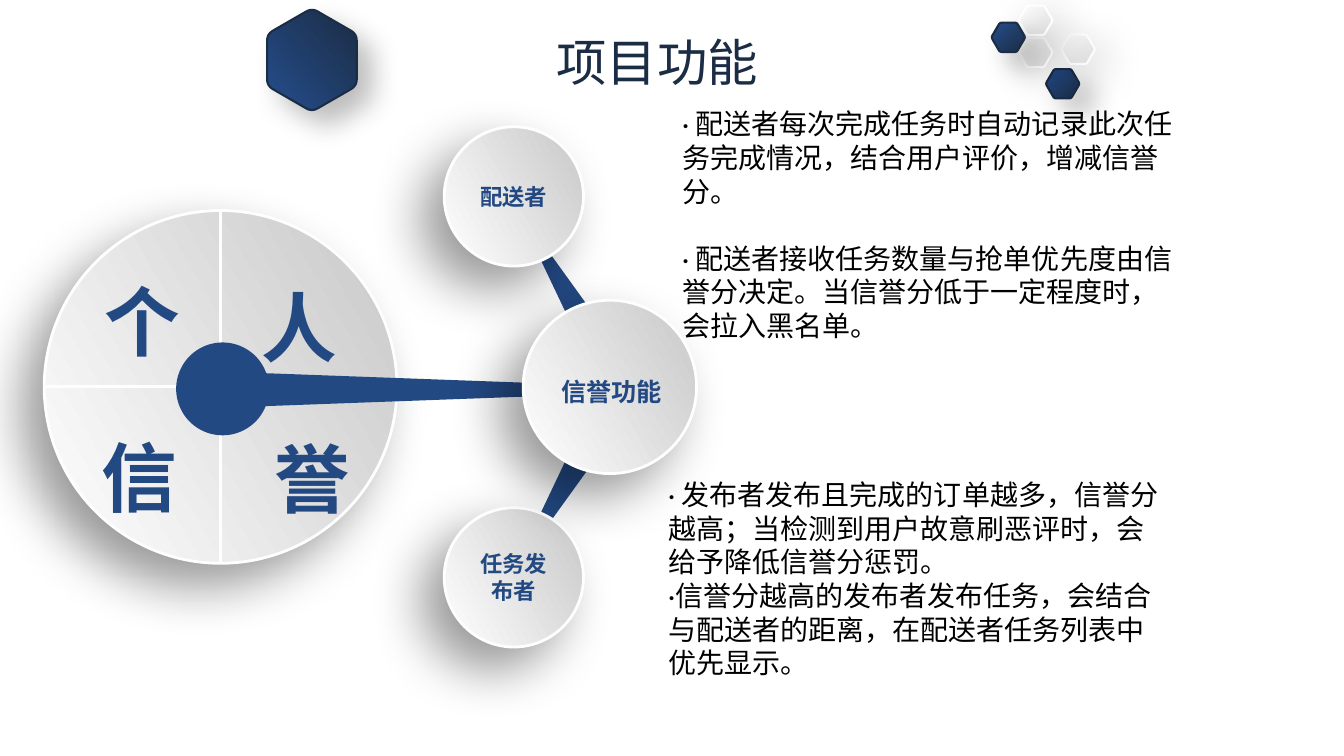
import math

import lxml.etree
import pptx
import pptx.dml.color
import pptx.enum.shapes
import pptx.enum.text
import pptx.oxml.ns
import pptx.util

Cm = pptx.util.Cm
Pt = pptx.util.Pt
RGBColor = pptx.dml.color.RGBColor
SHAPE = pptx.enum.shapes.MSO_SHAPE
ALIGN = pptx.enum.text.PP_ALIGN
qn = pptx.oxml.ns.qn

BLACK = RGBColor(0x00, 0x00, 0x00)
BLUE = RGBColor(0x23, 0x49, 0x83)
NAVY = RGBColor(0x1B, 0x2C, 0x45)
ROYAL = RGBColor(0x25, 0x4E, 0x8C)
SILVER = RGBColor(0xDD, 0xDD, 0xDD)
GREY = RGBColor(0xC8, 0xC8, 0xC8)
PEARL = RGBColor(0xFE, 0xFE, 0xFE)
WHITE = RGBColor(0xFF, 0xFF, 0xFF)

# start colour, end colour, outline, shadow (opacity %, blur pt, distance pt, degrees)
DARK_HEXAGON = (NAVY, ROYAL, NAVY, (25, 20, 15, 45))
LIGHT_HEXAGON = (SILVER, PEARL, PEARL, (20, 30, 10, 45))


def blend(fill, start, end, angle):
    """Give a fill a two-colour gradient; the angle runs counter-clockwise."""
    fill.gradient()
    fill.gradient_angle = angle
    for stop, color in zip(fill.gradient_stops, (start, end)):
        stop.color.rgb = color


def cast_shadow(shape, opacity, blur, distance, direction):
    """Add a soft black outer shadow."""
    shape.shadow.inherit = False
    effects = shape._element.spPr.find(qn("a:effectLst"))
    shadow = lxml.etree.SubElement(
        effects, qn("a:outerShdw"), blurRad=str(Pt(blur)), dist=str(Pt(distance)),
        dir=str(direction * 60000), algn="ctr", rotWithShape="0")
    color = lxml.etree.SubElement(shadow, qn("a:srgbClr"), val="000000")
    lxml.etree.SubElement(color, qn("a:alpha"), val=str(opacity * 1000))


def style_text(para, size, color, bold=False, name="Calibri"):
    """Set the font of a whole paragraph."""
    para.font.size = Pt(size)
    para.font.name = name
    para.font.bold = bold
    para.font.color.rgb = color


def add_label(page, x, y, width, height, text, size, name="Calibri"):
    """Place a bold blue unwrapped label centred on a point."""
    box = page.shapes.add_textbox(
        Cm(x - width / 2), Cm(y - height / 2), Cm(width), Cm(height))
    box.text_frame.word_wrap = False
    box.text_frame.auto_size = pptx.enum.text.MSO_AUTO_SIZE.SHAPE_TO_FIT_TEXT
    box.text_frame.text = text
    style_text(box.text_frame.paragraphs[0], size, BLUE, True, name)


def add_hexagon(page, x, y, width, rotation, look):
    """Draw a hexagon with rounded corners, centred on a point."""
    start, end, outline, shadow = look
    radius = width / math.sqrt(3)
    corners = [(x + radius * math.sin(math.radians(turn)),
                y - radius * math.cos(math.radians(turn)))
               for turn in range(0, 360, 60)]
    trim, steps = 0.13, 6
    points = []
    for index, corner in enumerate(corners):
        before, after = corners[index - 1], corners[(index + 1) % 6]
        for step in range(steps + 1):
            t = step / steps
            pull_before, pull_after = trim * (1 - t) ** 2, trim * t ** 2
            points.append(tuple(
                Cm(c + pull_before * (b - c) + pull_after * (a - c))
                for b, c, a in zip(before, corner, after)))
    builder = page.shapes.build_freeform(*points[0])
    builder.add_line_segments(points[1:], close=True)
    hexagon = builder.convert_to_shape()
    hexagon.rotation = rotation
    blend(hexagon.fill, start, end, 40)
    hexagon.line.color.rgb = outline
    hexagon.line.width = Pt(1.5)
    cast_shadow(hexagon, *shadow)


def add_solid(page, kind, x, y, width, height, rotation=0):
    """Place a plain blue shape centred on a point."""
    shape = page.shapes.add_shape(
        kind, Cm(x - width / 2), Cm(y - height / 2), Cm(width), Cm(height))
    shape.rotation = rotation
    shape.fill.solid()
    shape.fill.fore_color.rgb = BLUE
    shape.line.fill.background()
    shape.shadow.inherit = False
    return shape


def add_arm(page, x, y, length, rotation):
    """Draw a tapering arm whose narrow end points along the rotation."""
    arm = add_solid(page, SHAPE.TRAPEZOID, x, y, 0.91, length, rotation)
    arm.adjustments[0] = 0.451


def add_disc(page, x, y, diameter, text="", kind=SHAPE.OVAL):
    """Draw a raised pale disc, with an optional name inside."""
    disc = add_solid(page, kind, x, y, diameter, diameter)
    blend(disc.fill, WHITE, GREY, 30)
    disc.line.color.rgb = PEARL
    disc.line.width = Pt(2)
    cast_shadow(disc, 40, 38, 22, 135)
    if text:
        frame = disc.text_frame
        frame.word_wrap = True
        frame.text = text
        frame.vertical_anchor = pptx.enum.text.MSO_ANCHOR.MIDDLE
        frame.paragraphs[0].alignment = ALIGN.CENTER
        style_text(frame.paragraphs[0], 16, BLUE, True)


def add_hexagon_cluster(page, left, top):
    """Scatter the five small hexagons of the header."""
    for x, y, look in ((1.78, 2.01, DARK_HEXAGON), (2.17, 1.14, LIGHT_HEXAGON),
                       (1.1, 1.22, LIGHT_HEXAGON), (1.1, 0.41, LIGHT_HEXAGON),
                       (0.41, 0.84, DARK_HEXAGON)):
        add_hexagon(page, left + x, top + y, 0.74, 270, look)


def add_heading(page, left, top, width, height):
    """Write the slide title."""
    box = page.shapes.add_textbox(Cm(left), Cm(top), Cm(width), Cm(height))
    box.text_frame.word_wrap = False
    para = box.text_frame.paragraphs[0]
    span = para.add_run()
    span.text = "项目功能"
    span.font.size = Pt(36)
    span.font.name = "Calibri"
    blend(span.font.fill, NAVY, ROYAL, 40)


def add_credit_diagram(page, left, top):
    """Draw the personal credit wheel, its hub and the two roles."""
    middle = top + 6.55
    add_arm(page, left + 13.14, top + 8.99, 4.52, 210.6)
    add_arm(page, left + 13.24, top + 4.29, 4.52, 329.4)
    add_disc(page, left + 4.45, middle, 8.89, kind=SHAPE.FLOWCHART_OR)
    for y, role in ((1.75, "配送者"), (11.35, "任务发布者")):
        add_disc(page, left + 11.84, top + y, 3.51, role)
    for x, y, letter in ((2.5, 4.89, "个"), (6.46, 5.04, "人"),
                         (2.42, 8.82, "信"), (6.79, 8.85, "誉")):
        add_label(page, left + x, top + y, 2.44, 2.57, letter, 54, "Roboto")
    add_solid(page, SHAPE.OVAL, left + 4.5, top + 6.6, 2.34, 2.34)
    add_arm(page, left + 10.09, top + 6.62, 11.2, 90)
    add_disc(page, left + 14.26, middle, 4.37)
    add_label(page, left + 14.33, top + 6.66, 3.1, 1.02, "信誉功能", 18)


def add_notes_box(page, left, top, width, height, texts, gap):
    """Write one role's rules as paragraphs, with a gap in points between."""
    box = page.shapes.add_textbox(Cm(left), Cm(top), Cm(width), Cm(height))
    frame = box.text_frame
    frame.word_wrap = True
    frame.text = "\n".join(texts)
    for para in frame.paragraphs:
        style_text(para, 20, BLACK)
    for para in frame.paragraphs[1:]:
        para.space_before = Pt(gap)


COURIER_RULES = (
    "· 配送者每次完成任务时自动记录此次任务完成情况，结合用户评价，增减信誉分。",
    "· 配送者接收任务数量与抢单优先度由信誉分决定。当信誉分低于一定程度时，会拉入黑名单。",
)
PUBLISHER_RULES = (
    "· 发布者发布且完成的订单越多，信誉分越高；当检测到用户故意刷恶评时，会给予降低信誉分惩罚。",
    "·信誉分越高的发布者发布任务，会结合与配送者的距离，在配送者任务列表中优先显示。",
)

deck = pptx.Presentation()
deck.slide_width, deck.slide_height = Cm(33.87), Cm(19.05)
page = deck.slides.add_slide(deck.slide_layouts[6])
add_hexagon_cluster(page, 25, 0.1)
add_heading(page, 13.77, 0.66, 5.64, 1.8)
add_hexagon(page, 7.86, 1.51, 2.26, 180, DARK_HEXAGON)
add_notes_box(page, 16.94, 2.57, 12.95, 6.25, COURIER_RULES, 24)
add_credit_diagram(page, 1.11, 3.2)
add_notes_box(page, 16.59, 11.91, 12.95, 5.38, PUBLISHER_RULES, 0)
deck.save("out.pptx")
